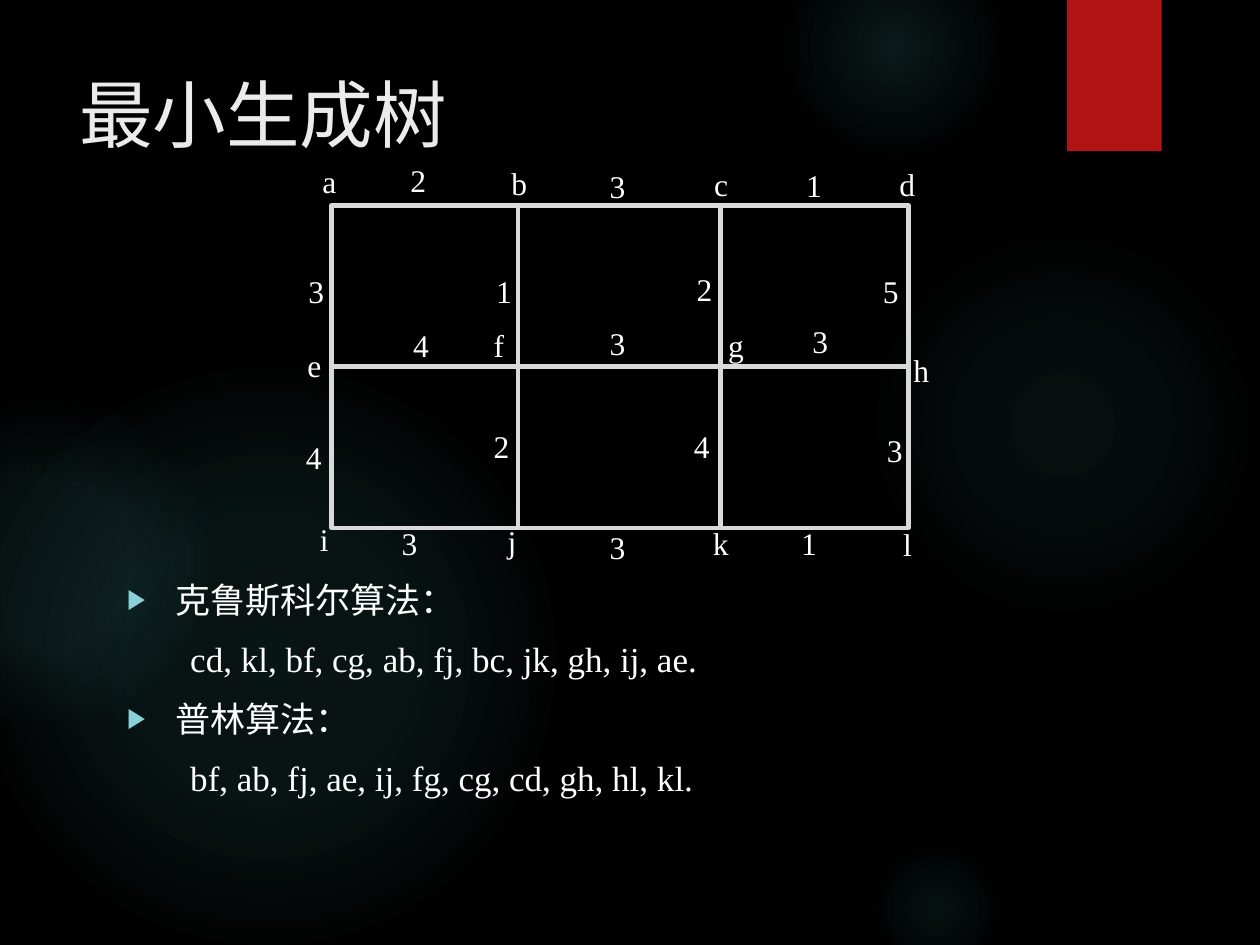
from dataclasses import dataclass
from lxml import etree
from pptx import Presentation
from pptx.dml.color import RGBColor as Color
from pptx.enum.shapes import MSO_CONNECTOR as Link, MSO_SHAPE as Kind
from pptx.enum.text import MSO_ANCHOR as Anchor, MSO_AUTO_SIZE as Fit, PP_ALIGN as Align
from pptx.oxml.ns import nsdecls
from pptx.util import Inches, Pt


@dataclass(frozen=True)
class Theme:
    back: str = "000000"
    glow: str = "50B9C1"
    tab: str = "B01513"
    title: str = "EBEBEB"
    text: str = "FFFFFF"
    line: str = "D9D9D9"
    mark: str = "8AD0D6"
    serif: str = "Times New Roman"
    sans: str = "TeX Gyre Adventor"
    head: int = 42
    body: int = 20
    label: int = 18
    stroke: float = 2.5


look = Theme()


def add_xml(node, code):
    tag, rest = code.split(" ", 1)
    node.append(etree.fromstring(f"<a:{tag} {nsdecls('a')} {rest}"))


def write(para, text, size=look.label, color=look.text, face=look.serif):
    run = para.add_run()
    run.text = text
    run.font.size = Pt(size)
    run.font.name = face
    run.font.color.rgb = Color.from_string(color)


deck = Presentation()
deck.slide_width, deck.slide_height = Inches(10), Inches(7.5)
slide = deck.slides.add_slide(deck.slide_layouts[1])
slide.background.fill.solid()
slide.background.fill.fore_color.rgb = Color.from_string(look.back)
shapes = slide.shapes
title, body = shapes.title, slide.placeholders[1]

glows = [
    (6.89, 1.83, 3.08, (7, 6), 69),
    (6.22, -0.5, 1.75, (14, 7), 73),
    (6.89, 6.67, 1.08, (9, 5), 66),
    (-0.17, 2.92, 4.58, (11, 10), 75),
    (-0.92, 3.17, 2.58, (8, 8), 72),
]
for x, y, size, alphas, edge in glows:
    glow = shapes.add_shape(Kind.OVAL, Inches(x), Inches(y), Inches(size), Inches(size))
    glow.shadow.inherit = False
    glow.line.fill.background()
    glow.fill.gradient()
    grad = glow.element.spPr.find("{*}gradFill")
    for part in list(grad):
        grad.remove(part)
    stops = "".join(
        f'<a:gs pos="{pos * 1000}"><a:srgbClr val="{look.glow}">'
        f'<a:alpha val="{alpha * 1000}"/></a:srgbClr></a:gs>'
        for pos, alpha in zip((0, 36, edge), (*alphas, 0))
    )
    add_xml(grad, f"gsLst >{stops}</a:gsLst>")
    add_xml(grad, 'path path="circle"><a:fillToRect l="50000" t="50000" r="50000" b="50000"/></a:path>')

tab = shapes.add_shape(Kind.RECTANGLE, Inches(8.47), Inches(0), Inches(0.75), Inches(1.2))
tab.shadow.inherit = False
tab.line.fill.background()
tab.fill.solid()
tab.fill.fore_color.rgb = Color.from_string(look.tab)

places = [(title, 0.53, 0.5, 7.72, 1.53), (body, 0.91, 4.54, 7.34, 2.3)]
for holder, x, y, w, h in places:
    holder.left, holder.top, holder.width, holder.height = map(Inches, (x, y, w, h))
    holder.text_frame.vertical_anchor = Anchor.TOP
    holder.text_frame.auto_size = Fit.NONE
    holder.element.getparent().append(holder.element)

head = title.text_frame.paragraphs[0]
head.alignment = Align.LEFT
write(head, "最小", size=look.head, color=look.title)
write(head, "生成树", size=look.head, color=look.title, face=look.sans)

items = [
    ("克鲁斯科尔算法：", True),
    ("cd, kl, bf, cg, ab, fj, bc, jk, gh, ij, ae.", False),
    ("普林算法：", True),
    ("bf, ab, fj, ae, ij, fg, cg, cd, gh, hl, kl.", False),
]
for i, (text, marked) in enumerate(items):
    para = body.text_frame.add_paragraph() if i else body.text_frame.paragraphs[0]
    props = para._p.get_or_add_pPr()
    props.set("marL", str(Inches(0.38 if marked else 0.5)))
    props.set("indent", str(Inches(-0.38 if marked else 0)))
    if marked:
        add_xml(props, f'buClr ><a:srgbClr val="{look.mark}"/></a:buClr>')
        add_xml(props, 'buSzPct val="80000"/>')
        add_xml(props, 'buFont typeface="Arial"/>')
        add_xml(props, 'buChar char="▶"/>')
    else:
        add_xml(props, "buNone />")
    para.space_before = Pt(10 if i else 0)
    write(para, text, size=look.body)

left, top, wide, high = 2.63, 1.63, 4.58, 2.56
right, base, mid = left + wide, top + high, top + high / 2
graph = shapes.add_group_shape().shapes
frame = graph.add_shape(Kind.RECTANGLE, Inches(left), Inches(top), Inches(wide), Inches(high))
frame.shadow.inherit = False
frame.fill.background()
frame.line.color.rgb = Color.from_string(look.line)
frame.line.width = Pt(look.stroke)

ends = [(left, mid, right, mid), (4.11, top, 4.11, base), (5.72, top, 5.72, base)]
for i, spots in enumerate(ends):
    edge = graph.add_connector(Link.STRAIGHT, *map(Inches, spots))
    edge.line.color.rgb = Color.from_string(look.line)
    edge.line.width = Pt(look.stroke)
    add_xml(edge.element.spPr, "effectLst />")
    if i == 0:
        edge.begin_connect(frame, 1)
        edge.end_connect(frame, 3)

nodes = [
    ("a", 2.46, 1.24), ("b", 3.96, 1.25), ("c", 5.57, 1.26), ("d", 7.04, 1.26),
    ("e", 2.34, 2.7), ("f", 3.82, 2.54), ("g", 5.68, 2.54), ("h", 7.15, 2.74),
    ("i", 2.44, 4.08), ("j", 3.93, 4.09), ("k", 5.56, 4.11), ("l", 7.07, 4.12),
]
costs = [
    ("2", 3.16, 1.23), ("3", 4.74, 1.28), ("1", 6.3, 1.27),
    ("3", 2.35, 2.11), ("1", 3.84, 2.11), ("2", 5.43, 2.09), ("5", 6.91, 2.11),
    ("4", 3.18, 2.54), ("3", 4.74, 2.52), ("3", 6.35, 2.51),
    ("4", 2.33, 3.43), ("2", 3.82, 3.34), ("4", 5.41, 3.34), ("3", 6.94, 3.37),
    ("3", 3.09, 4.11), ("3", 4.74, 4.14), ("1", 6.26, 4.11),
]
widths = {**dict.fromkeys("aceg", 0.32), **dict.fromkeys("ijl", 0.27), "f": 0.28}
for text, x, y in nodes + costs:
    box = graph.add_textbox(Inches(x), Inches(y), Inches(widths.get(text, 0.34)), Inches(0.4))
    box.text_frame.word_wrap = False
    box.text_frame.auto_size = Fit.SHAPE_TO_FIT_TEXT
    write(box.text_frame.paragraphs[0], text)

deck.save("out.pptx")
